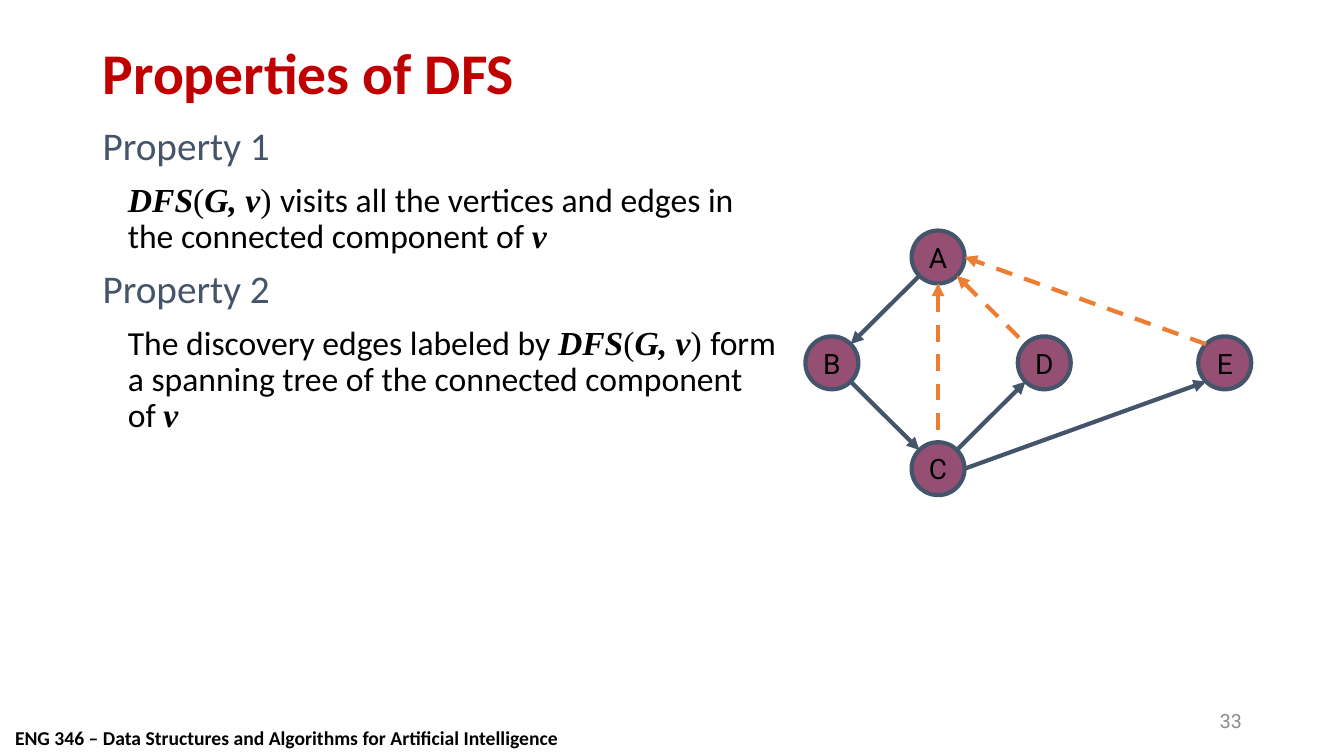
from math import hypot

from lxml.etree import SubElement
from pptx import Presentation
from pptx.dml.color import RGBColor
from pptx.enum.dml import MSO_LINE
from pptx.enum.shapes import MSO_CONNECTOR, MSO_SHAPE
from pptx.enum.text import MSO_ANCHOR, PP_ALIGN
from pptx.oxml.ns import qn
from pptx.util import Inches, Pt

WIDTH, HEIGHT = Inches(13.33), Inches(7.5)
RED = RGBColor(0xC0, 0x00, 0x00)
SLATE = RGBColor(0x44, 0x54, 0x6A)
PLUM = RGBColor(0x95, 0x4F, 0x72)
ORANGE = RGBColor(0xED, 0x7D, 0x31)
GRAY = RGBColor(0x8C, 0x8C, 0x8C)
BLACK = RGBColor(0x00, 0x00, 0x00)

TITLE = dict(name="Calibri", size=Pt(41.1), bold=True)
HEADING = dict(name="Calibri", size=Pt(28))
PLAIN = dict(name="Calibri", size=Pt(24))
SYMBOL = dict(name="Times New Roman", size=Pt(24))
VARIABLE = dict(SYMBOL, bold=True, italic=True)
FOOTER = dict(name="Calibri", size=Pt(14), bold=True)
NUMBER = dict(name="Roboto", size=Pt(14))
LABEL = dict(name="Roboto", size=Pt(20))

CALL = [("DFS", VARIABLE), ("(", SYMBOL), ("G, v", VARIABLE), (") ", SYMBOL)]
PROPERTIES = [
    ("Property 1", CALL + [
        ("visits all the vertices and edges in the connected component of ", PLAIN),
        ("v", VARIABLE)]),
    ("Property 2", [("The discovery edges labeled by ", PLAIN)] + CALL + [
        ("form a spanning tree of the connected component of ", PLAIN),
        ("v", VARIABLE)]),
]

GRAPH_LEFT, GRAPH_TOP = 61.9, 34
COLUMN, ROW = 7.9, 14
DIAMETER = int(HEIGHT * 0.07)
VERTICES = {"A": (1, 0), "B": (0, 1), "C": (1, 2), "D": (2, 1), "E": (3.7, 1)}
TOP, BOTTOM, RIGHT = (0, -1), (0, 1), (1, 0)
TOP_LEFT, TOP_RIGHT = (-1, -1), (1, -1)
BOTTOM_LEFT, BOTTOM_RIGHT = (-1, 1), (1, 1)
DISCOVERY_EDGES = [
    ("A", BOTTOM_LEFT, "B", TOP_RIGHT, "tailEnd"),
    ("B", BOTTOM_RIGHT, "C", TOP_LEFT, "tailEnd"),
    ("C", TOP_RIGHT, "D", BOTTOM_LEFT, "tailEnd"),
    ("C", RIGHT, "E", BOTTOM_LEFT, "tailEnd"),
]
BACK_EDGES = [
    ("A", BOTTOM_RIGHT, "D", TOP_LEFT, "headEnd"),
    ("A", BOTTOM, "C", TOP, "headEnd"),
    ("E", TOP_LEFT, "A", RIGHT, "tailEnd"),
]


def across(share):
    return int(WIDTH * share / 100)


def down(share):
    return int(HEIGHT * share / 100)


def add_span(para, text, style, color):
    span = para.add_run()
    span.text = text
    for name, value in style.items():
        setattr(span.font, name, value)
    span.font.color.rgb = color


def add_box(page, left, top, width, height, anchor=MSO_ANCHOR.TOP, wrap=True):
    box = page.shapes.add_textbox(across(left), down(top), across(width), down(height))
    frame = box.text_frame
    frame.word_wrap = wrap
    frame.vertical_anchor = anchor
    return frame


def add_properties(page):
    frame = add_box(page, 6.9, 16.13, 51.7, 73.87)
    para = frame.paragraphs[0]
    for position, (heading, statement) in enumerate(PROPERTIES):
        if position:
            para = frame.add_paragraph()
            para.space_before = Pt(10)
        para.line_spacing = 0.9
        add_span(para, heading, HEADING, SLATE)
        para = frame.add_paragraph()
        para.space_before = Pt(10)
        para.line_spacing = 0.9
        para._p.get_or_add_pPr().set("marL", str(Inches(0.25)))
        for text, style in statement:
            add_span(para, text, style, BLACK)


def center(vertex):
    column, row = VERTICES[vertex]
    return across(GRAPH_LEFT + column * COLUMN), down(GRAPH_TOP + row * ROW)


def rim(vertex, side):
    reach = DIAMETER / 2 / hypot(*side)
    return [int(middle + reach * step) for middle, step in zip(center(vertex), side)]


def add_vertex(page, vertex):
    x, y = center(vertex)
    node = page.shapes.add_shape(
        MSO_SHAPE.OVAL, x - DIAMETER // 2, y - DIAMETER // 2, DIAMETER, DIAMETER)
    node.shadow.inherit = False
    node.fill.solid()
    node.fill.fore_color.rgb = PLUM
    node.line.color.rgb = SLATE
    node.line.width = Pt(3)
    frame = node.text_frame
    frame.word_wrap = False
    frame.vertical_anchor = MSO_ANCHOR.MIDDLE
    para = frame.paragraphs[0]
    para.alignment = PP_ALIGN.CENTER
    add_span(para, vertex, LABEL, BLACK)


def add_edge(page, start, start_side, end, end_side, arrow, color, dash=None):
    edge = page.shapes.add_connector(
        MSO_CONNECTOR.STRAIGHT, *rim(start, start_side), *rim(end, end_side))
    edge.line.color.rgb = color
    edge.line.width = Pt(3)
    if dash:
        edge.line.dash_style = dash
    SubElement(edge.line._get_or_add_ln(), qn("a:" + arrow), type="triangle")
    SubElement(edge._element.spPr, qn("a:effectLst"))


def add_graph(page):
    for vertex in VERTICES:
        add_vertex(page, vertex)
    for edge in DISCOVERY_EDGES:
        add_edge(page, *edge, SLATE)
    for edge in BACK_EDGES:
        add_edge(page, *edge, ORANGE, MSO_LINE.DASH)


def main():
    deck = Presentation()
    deck.slide_width, deck.slide_height = WIDTH, HEIGHT
    page = deck.slides.add_slide(deck.slide_layouts[6])

    footer = add_box(page, 0.38, 95.33, 42.2, 4.4, wrap=False).paragraphs[0]
    add_span(footer, "ENG 346 – Data Structures and Algorithms for Artificial Intelligence",
             FOOTER, BLACK)
    title = add_box(page, 6.9, 5.33, 86.25, 9.33, MSO_ANCHOR.MIDDLE).paragraphs[0]
    title.line_spacing = 0.9
    add_span(title, "Properties of DFS", TITLE, RED)
    add_properties(page)
    number = add_box(page, 70.65, 92.67, 22.5, 5.33, MSO_ANCHOR.MIDDLE).paragraphs[0]
    number.alignment = PP_ALIGN.RIGHT
    add_span(number, "33", NUMBER, GRAY)
    add_graph(page)

    deck.save("out.pptx")


if __name__ == "__main__":
    main()
